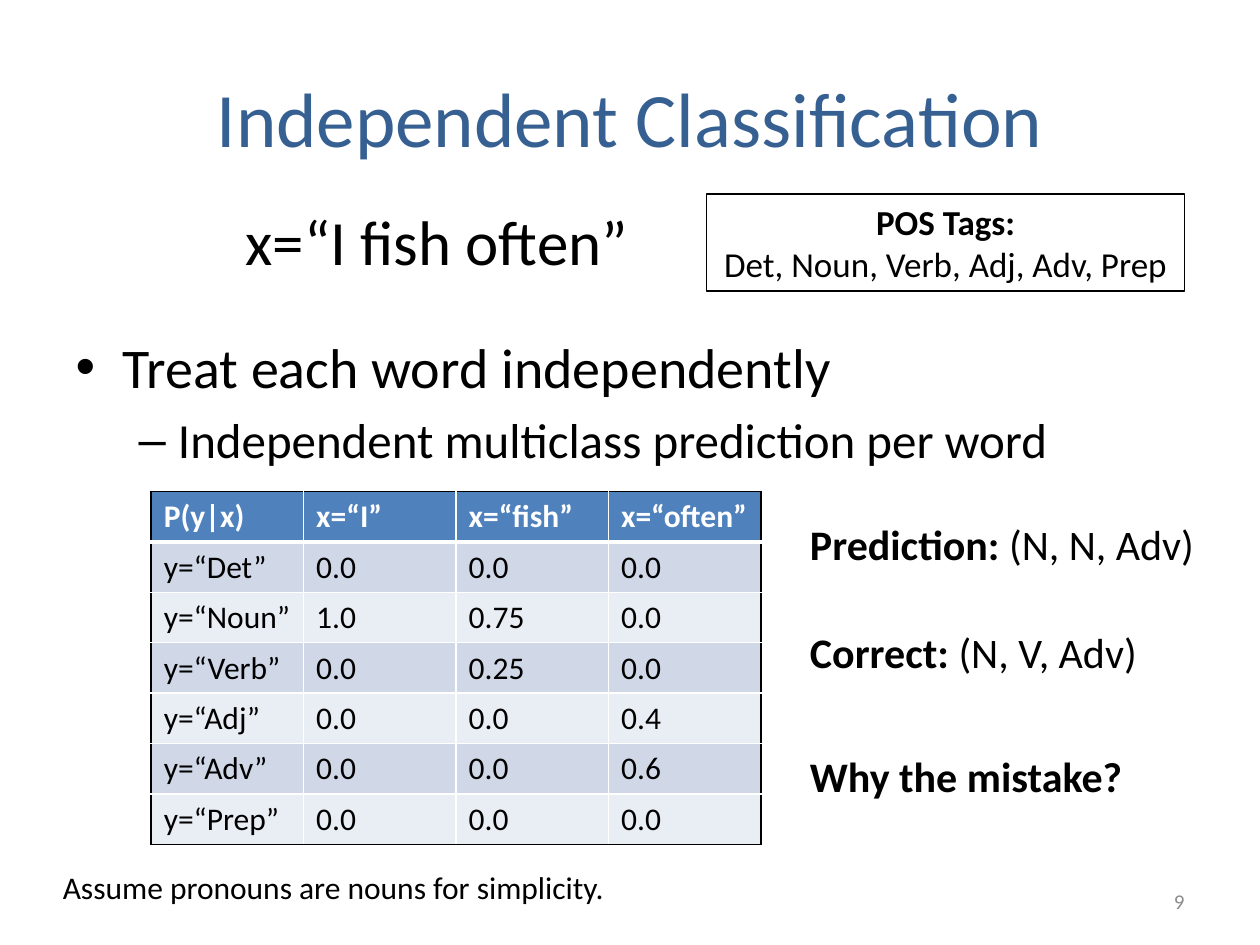
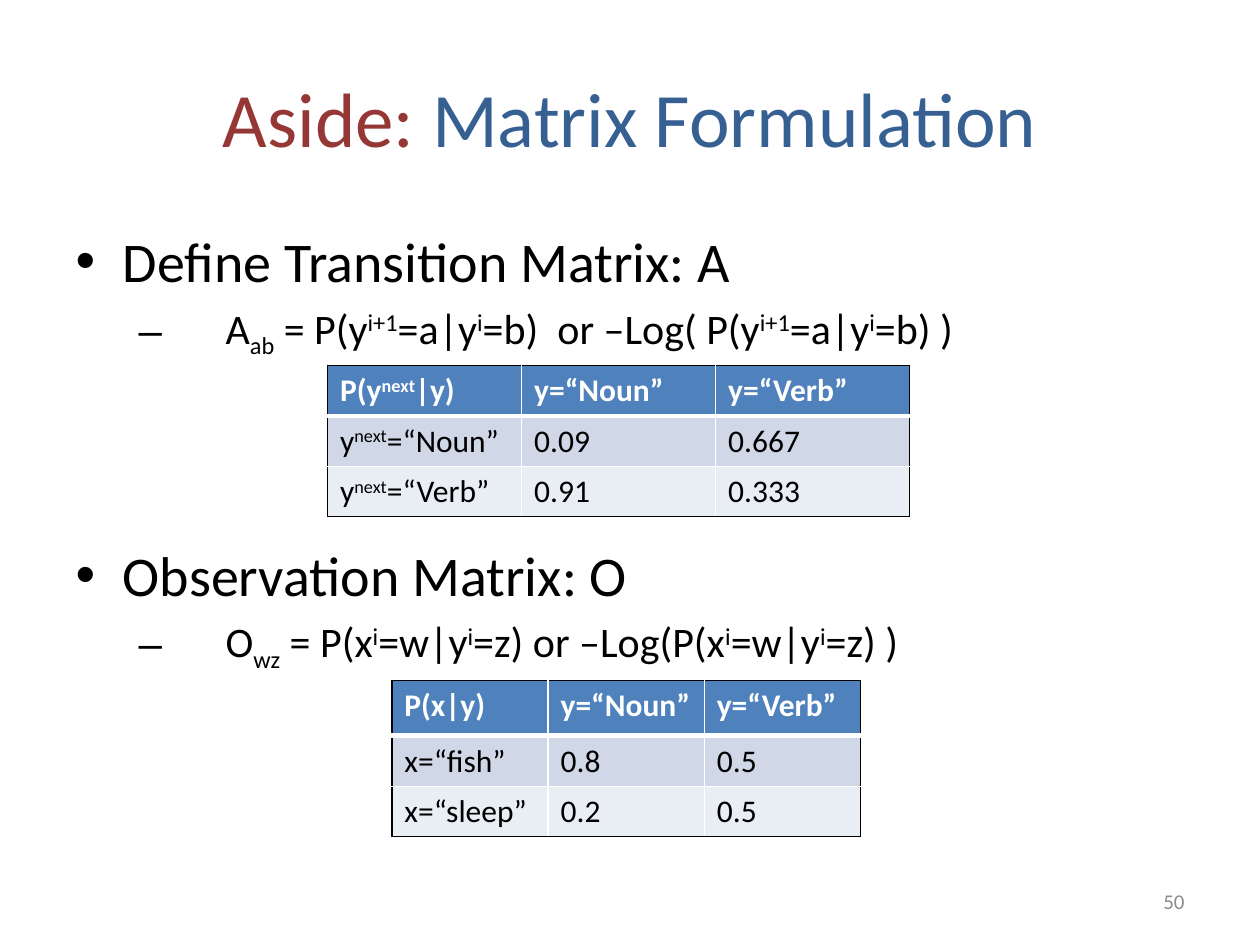
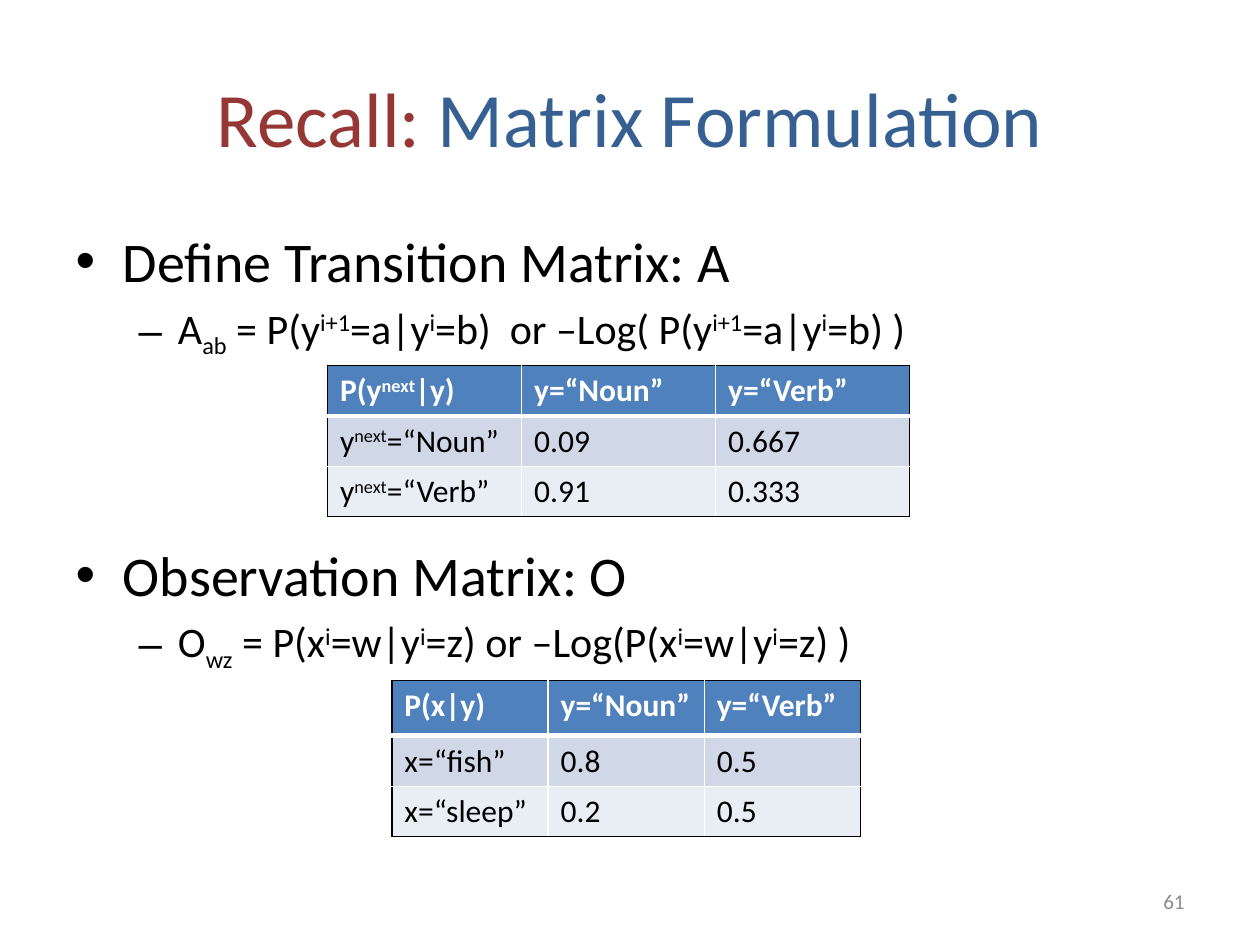
from lxml import etree
from pptx import Presentation
from pptx.dml.color import RGBColor
from pptx.enum import shapes, text
from pptx.oxml.ns import qn
from pptx.util import Inches, Pt

# Shared style
FONT = "Calibri"
BLACK = RGBColor(0x00, 0x00, 0x00)
WHITE = RGBColor(0xFF, 0xFF, 0xFF)
BLUE = RGBColor(0x37, 0x60, 0x92)
RED = RGBColor(0x95, 0x37, 0x35)
GRAY = RGBColor(0x8C, 0x8C, 0x8C)
HEADER = RGBColor(0x4F, 0x81, 0xBD)
BANDS = RGBColor(0xD0, 0xD8, 0xE8), RGBColor(0xE9, 0xED, 0xF4)
SUPER, SUB = 30000, -25000
LEFT, CENTER, RIGHT = text.PP_ALIGN.LEFT, text.PP_ALIGN.CENTER, text.PP_ALIGN.RIGHT


def write(p, content, size=18, color=BLACK, bold=False):
    """Append runs to a paragraph; ^x^ is superscript and ~x~ subscript."""
    for i, chunk in enumerate(content.split("^")):
        for j, part in enumerate(chunk.split("~")):
            if not part:
                continue
            r = p.add_run()
            r.text = part
            r.font.name, r.font.size, r.font.bold = FONT, Pt(size), bold
            r.font.color.rgb = color
            shift = SUPER if i % 2 else SUB if j % 2 else 0
            if shift:
                r.font._element.set("baseline", str(shift))


def set_border(cell, side, color, width):
    ln = etree.SubElement(cell._tc.get_or_add_tcPr(), qn(f"a:ln{side}"), w=str(Pt(width)))
    fill = etree.SubElement(ln, qn("a:solidFill"))
    etree.SubElement(fill, qn("a:srgbClr"), val=str(color))


class Deck:
    def __init__(self):
        self.prs = Presentation()
        self.prs.slide_width, self.prs.slide_height = Inches(10), Inches(7.5)
        self.slide = None

    def new_slide(self, title, number):
        """Start a slide; title is a list of (text, colour) parts."""
        self.slide = self.prs.slides.add_slide(self.prs.slide_layouts[1])
        p = self.slide.shapes.title.text_frame.paragraphs[0]
        p.alignment = CENTER
        for content, color in title:
            write(p, content, size=44, color=color)
        self.text_box(7.17, 6.95, 2.33, 0.4, [(str(number), False)], size=12,
                      color=GRAY, align=RIGHT, wrap=True)

    def bullets(self, items, top=1.75, height=4.95):
        """Fill the body from (text, level, size, space before, extra indent) rows."""
        sp = self.slide.placeholders[1]
        sp.left, sp.top, sp.width, sp.height = map(Inches, (0.5, top, 9, height))
        tf = sp.text_frame
        tf.auto_size = text.MSO_AUTO_SIZE.NONE
        for i, (content, level, size, before, extra) in enumerate(items):
            p = tf.add_paragraph() if i else tf.paragraphs[0]
            p.level = level
            if before:
                p.space_before = Pt(before)
            if extra:
                pPr = p._p.get_or_add_pPr()
                pPr.set("marL", str(Inches(0.81 + extra)))
                pPr.set("indent", str(-Inches(0.31 + extra)))
            write(p, content, size=size)

    def fill_frame(self, tf, parts, size, color, align, wrap, stacked):
        tf.word_wrap = wrap
        if wrap:
            tf.vertical_anchor = text.MSO_ANCHOR.MIDDLE
        else:
            tf.auto_size = text.MSO_AUTO_SIZE.SHAPE_TO_FIT_TEXT
        p = tf.paragraphs[0]
        for i, (content, bold) in enumerate(parts):
            if i and stacked:
                p = tf.add_paragraph()
            p.alignment = align
            write(p, content, size=size, color=color, bold=bold)

    def text_box(self, x, y, w, h, parts, size=18, color=BLACK, align=LEFT, wrap=False):
        sp = self.slide.shapes.add_textbox(*map(Inches, (x, y, w, h)))
        self.fill_frame(sp.text_frame, parts, size, color, align, wrap, stacked=False)

    def frame(self, x, y, w, h, lines, size):
        """Outlined box with one centred paragraph per line."""
        sp = self.slide.shapes.add_shape(shapes.MSO_SHAPE.RECTANGLE,
                                         *map(Inches, (x, y, w, h)))
        sp.shadow.inherit = False
        sp.fill.background()
        sp.line.color.rgb, sp.line.width = BLACK, Pt(0.75)
        self.fill_frame(sp.text_frame, lines, size, BLACK, CENTER, False, stacked=True)

    def table(self, x, y, col_w, rows, header_h, row_h):
        """Banded table: black outside, white inside, thick rule under the header."""
        n, m = len(rows), len(rows[0])
        height = header_h + row_h * (n - 1)
        table = self.slide.shapes.add_table(
            n, m, *map(Inches, (x, y, col_w * m, height))).table
        for col in table.columns:
            col.width = Inches(col_w)
        for i, row in enumerate(rows):
            table.rows[i].height = Inches(row_h if i else header_h)
            for j, content in enumerate(row):
                cell = table.cell(i, j)
                outer = {"L": j == 0, "R": j == m - 1, "T": i == 0, "B": i == n - 1}
                for side, is_outer in outer.items():
                    thick = i == 0 and side == "B"
                    set_border(cell, side, BLACK if is_outer else WHITE, 3 if thick else 1)
                cell.fill.solid()
                cell.fill.fore_color.rgb = BANDS[(i - 1) % 2] if i else HEADER
                write(cell.text_frame.paragraphs[0], content,
                      color=BLACK if i else WHITE, bold=i == 0)


def classification_slide(deck):
    deck.new_slide([("Independent Classification", BLUE)], 9)
    deck.bullets([("Treat each word independently", 0, 32, None, 0),
                  ("Independent multiclass prediction per word", 1, 28, None, 0)],
                 top=2.59, height=4.11)
    deck.text_box(1.85, 1.56, 3.27, 0.71, [("x=“I fish often”", False)], size=36)
    deck.frame(5.61, 1.54, 3.79, 0.77,
               [("POS Tags:", True), ("Det, Noun, Verb, Adj, Adv, Prep", False)], size=20)
    deck.text_box(0.4, 6.84, 4.57, 0.4,
                  [("Assume pronouns are nouns for simplicity.", False)])
    deck.table(1.2, 3.9, 1.21, [
        ("P(y|x)", "x=“I”", "x=“fish”", "x=“often”"),
        ("y=“Det”", "0.0", "0.0", "0.0"),
        ("y=“Noun”", "1.0", "0.75", "0.0"),
        ("y=“Verb”", "0.0", "0.25", "0.0"),
        ("y=“Adj”", "0.0", "0.0", "0.4"),
        ("y=“Adv”", "0.0", "0.0", "0.6"),
        ("y=“Prep”", "0.0", "0.0", "0.0"),
    ], header_h=0.4, row_h=0.4)

    # Remarks beside the table
    for y, w, label, value in ((4.07, 3.28, "Prediction: ", "(N, N, Adv)"),
                               (4.92, 2.85, "Correct: ", "(N, V, Adv)"),
                               (5.91, 2.73, "Why the mistake?", "")):
        deck.text_box(6.33, y, w, 0.5, [(label, True), (value, False)], size=24)


def matrix_slide(deck, lead, number, formula_indent=0):
    deck.new_slide([(lead, RED), ("Matrix Formulation", BLUE)], number)
    # The second heading is spaced down to leave room for the first table
    deck.bullets([
        ("Define Transition Matrix: A", 0, 32, None, 0),
        ("A~ab~ = P(y^i+1^=a|y^i^=b)  or –Log( P(y^i+1^=a|y^i^=b) )",
         1, 24, None, formula_indent),
        ("Observation Matrix: O", 0, 32, 103, 0),
        ("O~wz~ = P(x^i^=w|y^i^=z) or –Log(P(x^i^=w|y^i^=z) )",
         1, 24, None, formula_indent),
    ])
    deck.table(3.11, 5.4, 1.24, [
        ("P(x|y)", "y=“Noun”", "y=“Verb”"),
        ("x=“fish”", "0.8", "0.5"),
        ("x=“sleep”", "0.2", "0.5"),
    ], header_h=0.44, row_h=0.4)
    deck.table(2.6, 2.9, 1.54, [
        ("P(y^next^|y)", "y=“Noun”", "y=“Verb”"),
        ("y^next^=“Noun”", "0.09", "0.667"),
        ("y^next^=“Verb”", "0.91", "0.333"),
    ], header_h=0.4, row_h=0.4)


def main():
    deck = Deck()
    classification_slide(deck)
    matrix_slide(deck, "Aside: ", 50, formula_indent=0.38)
    matrix_slide(deck, "Recall: ", 61)
    deck.prs.save("out.pptx")


if __name__ == "__main__":
    main()
